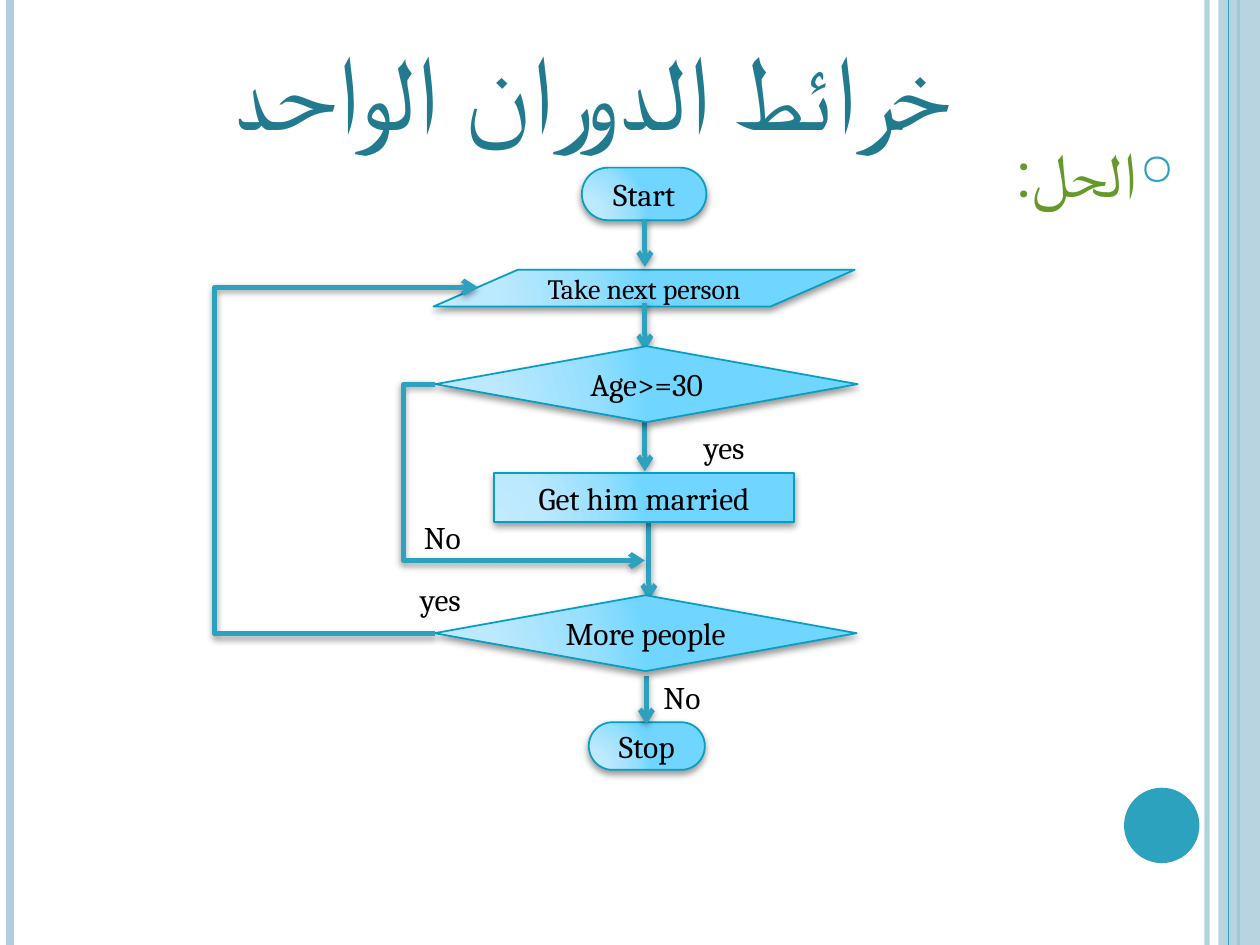
"""Build a flowchart slide with a single loop."""
from dataclasses import dataclass
from typing import Optional

import lxml.etree
import pptx
import pptx.dml.color
import pptx.enum.shapes
import pptx.enum.text
import pptx.oxml
import pptx.oxml.ns
import pptx.util

Cm = pptx.util.Cm
Pt = pptx.util.Pt
KIND = pptx.enum.shapes.MSO_SHAPE
JOIN = pptx.enum.shapes.MSO_CONNECTOR
ALIGN = pptx.enum.text.PP_ALIGN
ANCHOR = pptx.enum.text.MSO_ANCHOR
NS = pptx.oxml.ns.nsdecls("a")
HUES = {
    "pale": "ADCEDC", "teal": "2DA2BF", "title": "227A8F", "green": "659A2A",
    "edge": "079EC3", "black": "000000",
}
STOPS = ((0, "C2EBFD"), (30, "BCE9FE"), (75, "96DFFE"), (100, "70D6FF"))
HIGH = 19.05


@dataclass
class Box:
    text: str
    kind: int
    left: float
    top: float
    width: float
    height: float
    size: int = 18


@dataclass
class Line:
    x1: float
    y1: float
    x2: float
    y2: float
    bend: Optional[float] = None


@dataclass
class Rail:
    x: float
    hue: str
    weight: float
    alpha: int = 100


@dataclass
class Label:
    text: str
    left: float
    top: float


ENDS = [
    Box("Start", KIND.ROUNDED_RECTANGLE, 11.73, 3.38, 2.51, 1.06),
    Box("Take next person", KIND.FLOWCHART_DATA, 8.74, 5.44, 8.49, 0.74, 16),
    Box("Stop", KIND.ROUNDED_RECTANGLE, 11.87, 14.56, 2.34, 0.96),
]
STEPS = [
    Box("Age>=30", KIND.DIAMOND, 8.78, 6.98, 8.51, 1.53),
    Box("Get him married", KIND.RECTANGLE, 9.96, 9.54, 6.05, 0.98),
    Box("More people", KIND.DIAMOND, 8.76, 12, 8.51, 1.53),
]
FLOWS = [
    Line(13, 4.42, 13, 5.38),
    Line(13, 6.1, 13, 7.06),
    Line(13, 8.51, 13, 9.5),
    Line(13.08, 10.52, 13.08, 12.09),
    Line(13.03, 13.62, 13.03, 14.6),
]
LOOPS = [
    Line(8.76, 12.78, 9.63, 5.79, 4.33),
    Line(8.78, 7.75, 13, 11.3, 8.13),
]
LABELS = [
    Label("yes", 7.54, 11.56), Label("No", 12.37, 13.54),
    Label("yes", 13.26, 8.51), Label("No", 7.54, 10.31),
]
BACK = [Rail(24.33, "pale", 3, 93), Rail(0.2, "pale", 4.5), Rail(24.97, "teal", 1.5)]
FRONT = [Rail(24.77, "teal", 0.75)]


def get_hue(name: str) -> pptx.dml.color.RGBColor:
    """Return a named colour."""
    return pptx.dml.color.RGBColor.from_string(HUES[name])


def add_xml(parent, text: str) -> None:
    """Append an XML part in the drawing namespace."""
    head, tail = text.split(">", 1) if not text.endswith("/>") else (text[:-2], None)
    whole = f"{head} {NS}/>" if tail is None else f"{head} {NS}>{tail}"
    parent.append(pptx.oxml.parse_xml(whole))


def add_shade(part, alpha: int, dist: float) -> None:
    """Give a part a soft shadow below it."""
    add_xml(part._element.spPr,
            f'<a:effectLst><a:outerShdw blurRad="{Pt(4)}" dist="{Pt(dist)}" '
            f'dir="5400000" rotWithShape="0"><a:srgbClr val="{HUES["black"]}">'
            f'<a:alpha val="{alpha}000"/></a:srgbClr></a:outerShdw></a:effectLst>')


def fade(fill, alpha: int) -> None:
    """Make a solid fill partly clear."""
    hue = fill._xPr.find(".//" + pptx.oxml.ns.qn("a:srgbClr"))
    add_xml(hue, f'<a:alpha val="{alpha}000"/>')


def set_text(frame, text: str, size: int, hue: str, font: str, align) -> None:
    """Write one right-to-left paragraph."""
    frame.word_wrap = True
    frame.text = text
    para = frame.paragraphs[0]
    para.alignment = align
    para._p.get_or_add_pPr().set("rtl", "1")
    for run in para.runs:
        run.font.size = Pt(size)
        run.font.name = font
        run.font.color.rgb = get_hue(hue)
        add_xml(run.font._element, f'<a:cs typeface="{font}"/>')


def draw_rail(slide, rail: Rail) -> None:
    """Draw one full-height line."""
    line = slide.shapes.add_connector(
        JOIN.STRAIGHT, Cm(rail.x), 0, Cm(rail.x), Cm(HIGH))
    line.line.color.rgb = get_hue(rail.hue)
    line.line.width = Pt(rail.weight)
    if rail.alpha < 100:
        fade(line.line.fill, rail.alpha)
    add_xml(line._element.spPr, "<a:effectLst/>")


def draw_plain(slide, kind, left: float, top: float, width: float,
               height: float, hue: str):
    """Draw a flat shape with no outline."""
    shape = slide.shapes.add_shape(kind, Cm(left), Cm(top), Cm(width), Cm(height))
    shape.shadow.inherit = False
    shape.fill.solid()
    shape.fill.fore_color.rgb = get_hue(hue)
    shape.line.fill.background()
    return shape


def draw_box(slide, box: Box) -> None:
    """Draw one step of the chart."""
    shape = slide.shapes.add_shape(
        box.kind, Cm(box.left), Cm(box.top), Cm(box.width), Cm(box.height))
    if box.kind == KIND.ROUNDED_RECTANGLE:
        shape.adjustments[0] = 0.5
    stops = "".join(f'<a:gs pos="{at}000"><a:srgbClr val="{hue}"/></a:gs>'
                    for at, hue in STOPS)
    add_xml(shape._element.spPr,
            f'<a:gradFill rotWithShape="1"><a:gsLst>{stops}</a:gsLst>'
            '<a:path path="circle"><a:fillToRect l="5000" t="100000" '
            'r="120000" b="10000"/></a:path></a:gradFill>')
    shape.line.color.rgb = get_hue("edge")
    shape.line.width = Pt(1)
    add_shade(shape, 40, 2)
    shape.text_frame.vertical_anchor = ANCHOR.MIDDLE
    set_text(shape.text_frame, box.text, box.size, "black", "Cambria", ALIGN.CENTER)


def draw_line(slide, flow: Line) -> None:
    """Draw an arrow, bent at a given x if it has one."""
    kind = JOIN.STRAIGHT if flow.bend is None else JOIN.ELBOW
    line = slide.shapes.add_connector(
        kind, Cm(flow.x1), Cm(flow.y1), Cm(flow.x2), Cm(flow.y2))
    if flow.bend is not None:
        ratio = round((flow.bend - flow.x1) / (flow.x2 - flow.x1) * 100000)
        guides = line._element.spPr.prstGeom.get_or_add_avLst()
        add_xml(guides, f'<a:gd name="adj1" fmla="val {ratio}"/>')
    line.line.color.rgb = get_hue("teal")
    line.line.width = Pt(2.75)
    add_xml(line.line._get_or_add_ln(), '<a:tailEnd type="arrow"/>')
    add_shade(line, 42, 1.6)


def draw_label(slide, label: Label) -> None:
    """Write a branch label."""
    area = slide.shapes.add_textbox(Cm(label.left), Cm(label.top), Cm(2), Cm(1.02))
    set_text(area.text_frame, label.text, 18, "black", "Cambria", ALIGN.RIGHT)


def draw_heads(slide) -> None:
    """Write the title and the bullet below it."""
    title = slide.shapes.title
    title.left, title.top, title.width, title.height = Cm(1.07), 0, Cm(20.75), Cm(3.18)
    title.text_frame.margin_left = Cm(1.24)
    title.text_frame.vertical_anchor = ANCHOR.BOTTOM
    set_text(title.text_frame, "خرائط الدوران الواحد", 60, "title", "Roboto", ALIGN.CENTER)
    body = slide.shapes.add_textbox(Cm(0.43), Cm(2.59), Cm(23.5), Cm(15.42))
    set_text(body.text_frame, "الحل:", 36, "green", "Roboto", ALIGN.RIGHT)
    props = body.text_frame.paragraphs[0]._p.get_or_add_pPr()
    props.set("marL", str(Cm(0.76)))
    props.set("indent", str(Cm(-0.76)))
    add_xml(props, f'<a:buClr><a:srgbClr val="{HUES["teal"]}"/></a:buClr>')
    add_xml(props, '<a:buSzPct val="70000"/>')
    add_xml(props, '<a:buChar char="○"/>')


def main() -> None:
    """Build and save the slide."""
    deck = pptx.Presentation()
    deck.slide_width, deck.slide_height = Cm(25.4), Cm(HIGH)
    slide = deck.slides.add_slide(deck.slide_layouts[5])
    for rail in BACK:
        draw_rail(slide, rail)
    band = draw_plain(slide, KIND.RECTANGLE, 24.56, 0, 0.84, HIGH, "pale")
    fade(band.fill, 87)
    for rail in FRONT:
        draw_rail(slide, rail)
    draw_plain(slide, KIND.OVAL, 22.66, 15.88, 1.52, 1.52, "teal")
    draw_heads(slide)
    for draw, group in ((draw_box, ENDS), (draw_line, FLOWS), (draw_box, STEPS),
                        (draw_line, LOOPS), (draw_label, LABELS)):
        for item in group:
            draw(slide, item)
    deck.save("out.pptx")


if __name__ == "__main__":
    main()
